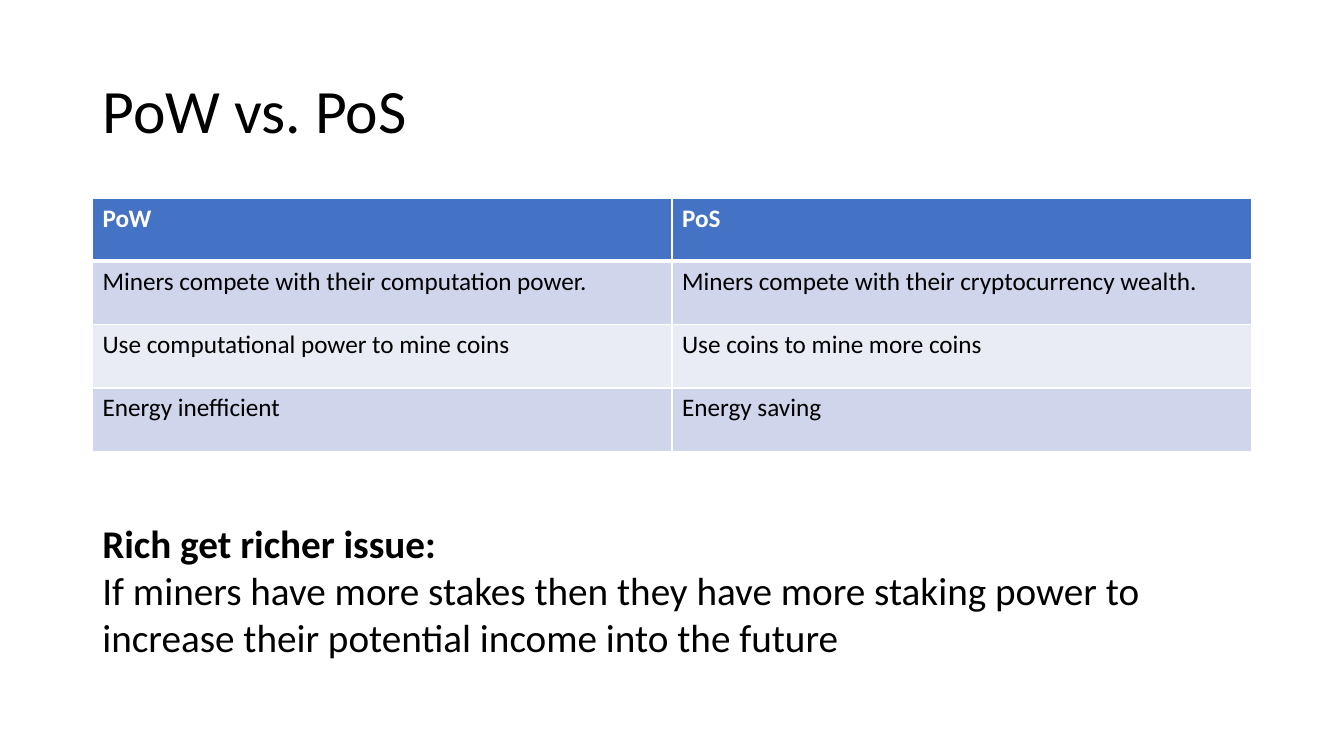
from lxml.etree import SubElement
from pptx import Presentation
from pptx.dml.color import RGBColor
from pptx.enum.text import MSO_ANCHOR as Anchor, MSO_AUTO_SIZE as AutoSize, PP_ALIGN as Align
from pptx.oxml.ns import qn
from pptx.util import Cm, Pt

LEFT, WIDTH = 2.33, 29.21
ROWS = [
    ("PoW", "PoS"),
    ("Miners compete with their computation power.",
     "Miners compete with their cryptocurrency wealth."),
    ("Use computational power to mine coins", "Use coins to mine more coins"),
    ("Energy inefficient", "Energy saving"),
]


def color(value):
    return RGBColor.from_string(value)


class SlideBuilder:
    """Holds the style and the slide being filled."""
    font = "Calibri"
    ink, paper = "000000", "FFFFFF"
    header, bands = "4472C4", ("CFD5EA", "E9EBF5")

    def __init__(self, deck):
        self.page = deck.slides.add_slide(deck.slide_layouts[5])

    def style(self, para, size, ink=ink, bold=False):
        para.alignment = Align.LEFT
        para.font.name = self.font
        para.font.size = Pt(size)
        para.font.bold = bold
        para.font.color.rgb = color(ink)

    def title(self, text, left, top, width, height):
        box = self.page.shapes.title
        box.left, box.top, box.width, box.height = map(Cm, (left, top, width, height))
        frame = box.text_frame
        frame.text = text
        frame.vertical_anchor = Anchor.MIDDLE
        para = frame.paragraphs[0]
        para.line_spacing = 0.9
        self.style(para, 44)

    def border(self, cell, side, points):
        line = SubElement(cell._tc.get_or_add_tcPr(), qn(f"a:ln{side}"), w=str(Pt(points)))
        fill = SubElement(line, qn("a:solidFill"))
        SubElement(fill, qn("a:srgbClr"), val=self.paper)

    def table(self, rows, left, top, width, height):
        frame = self.page.shapes.add_table(len(rows), len(rows[0]),
                                           *map(Cm, (left, top, width, height)))
        for r, row in enumerate(rows):
            is_header = r == 0
            for c, text in enumerate(row):
                cell = frame.table.cell(r, c)
                cell.text = text
                self.style(cell.text_frame.paragraphs[0], 18,
                           self.paper if is_header else self.ink, is_header)
                # The rule under the header is heavier than the rest of the grid
                widths = {"L": 1, "R": 1, "T": 3 if r == 1 else 1, "B": 3 if is_header else 1}
                for side, points in widths.items():
                    self.border(cell, side, points)
                cell.fill.solid()
                cell.fill.fore_color.rgb = color(self.header if is_header
                                                 else self.bands[(r - 1) % 2])

    def note(self, heading, text, left, top, width, height):
        box = self.page.shapes.add_textbox(*map(Cm, (left, top, width, height)))
        frame = box.text_frame
        frame.word_wrap = True
        frame.auto_size = AutoSize.SHAPE_TO_FIT_TEXT
        frame.text = heading
        self.style(frame.paragraphs[0], 28, bold=True)
        body = frame.add_paragraph()
        body.text = text
        self.style(body, 28)


def main():
    deck = Presentation()
    deck.slide_width, deck.slide_height = Cm(33.87), Cm(19.05)
    slide = SlideBuilder(deck)
    slide.title("PoW vs. PoS", LEFT, 1.01, WIDTH, 3.68)
    slide.table(ROWS, LEFT, 4.99, WIDTH, 6.38)
    slide.note("Rich get richer issue:",
               "If miners have more stakes then they have more staking power to "
               "increase their potential income into the future",
               LEFT, 12.96, WIDTH, 3.84)
    deck.save("out.pptx")


if __name__ == "__main__":
    main()
